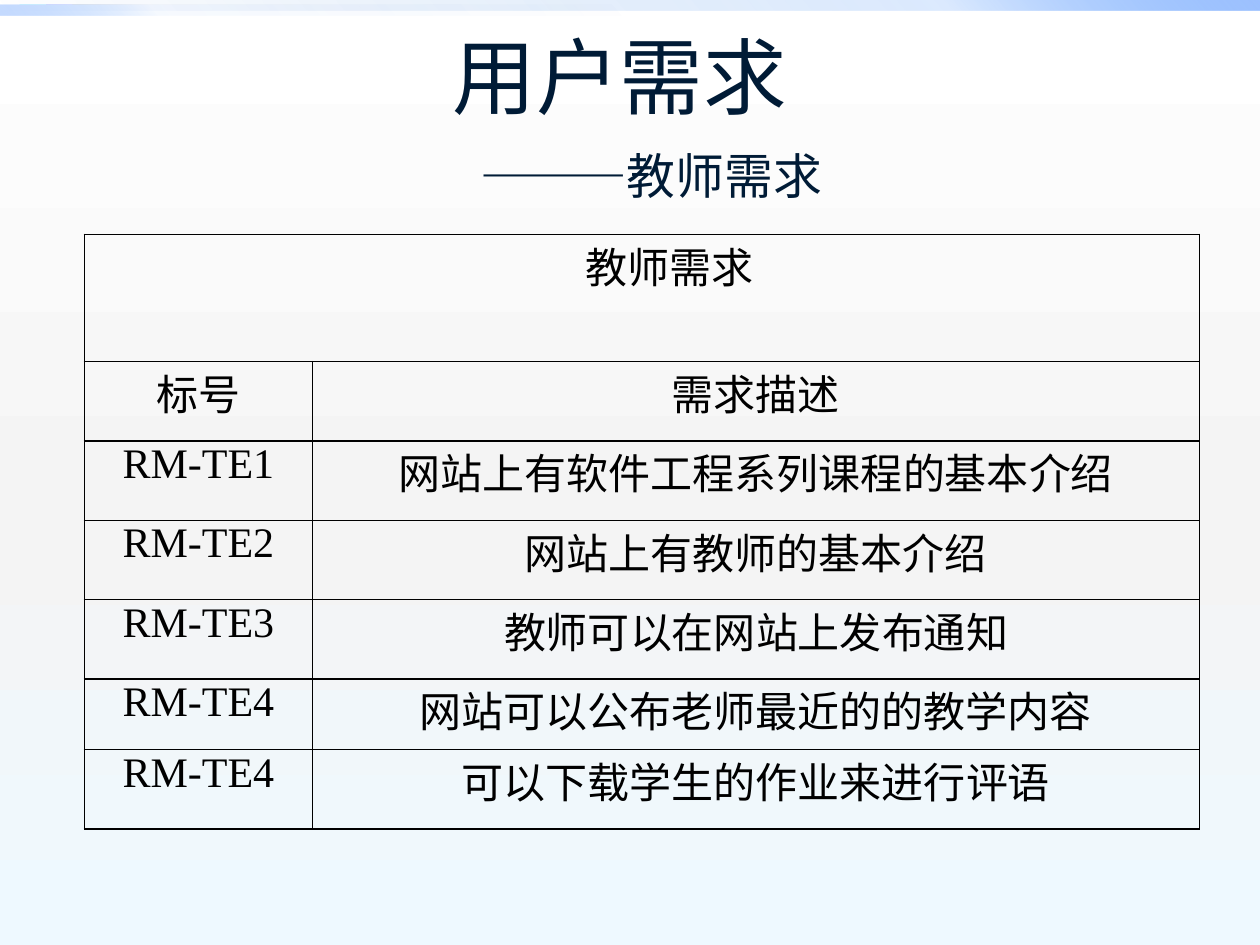
from lxml.etree import SubElement
from pptx import Presentation
from pptx.dml.color import RGBColor
from pptx.enum.shapes import MSO_SHAPE
from pptx.enum.text import MSO_ANCHOR, PP_ALIGN
from pptx.oxml.ns import qn
from pptx.util import Inches, Pt

NAVY = RGBColor(0x00, 0x1B, 0x36)
BLACK = RGBColor(0x00, 0x00, 0x00)

# Gradient stops: position %, colour, opacity %
BACKGROUND = [(0, "FFFFFF", 100), (55, "F4F4F4", 100), (100, "EEF9FF", 100)]
# Bands: left, top, width, height, angle, stops
BANDS = [
    (0, 0, 10, 0.08, 315,
     [(0, "0058B7", 0), (75, "4F95FF", 20), (100, "9EC2FF", 100)]),
    (0, 0.04, 5, 0.08, 135,
     [(0, "0058B7", 0), (75, "4F95FF", 5), (100, "9EC2FF", 60)]),
]

TITLE = ("用户需求", 47.7)
SUBTITLE = [("\t", 39.6), ("———教师需求", 27.9)]

TABLE_TITLE = "教师需求"
ROWS = [
    ("标号", "需求描述"),
    ("RM-TE1", "网站上有软件工程系列课程的基本介绍"),
    ("RM-TE2", "网站上有教师的基本介绍"),
    ("RM-TE3", "教师可以在网站上发布通知"),
    ("RM-TE4", "网站可以公布老师最近的的教学内容"),
    ("RM-TE4", "可以下载学生的作业来进行评语"),
]
COLUMN_WIDTHS = [1.81, 7.04]
ROW_HEIGHTS = [1.01, 0.63, 0.63, 0.63, 0.63, 0.56, 0.63]


def set_gradient(fill, element, angle, stops):
    """Turn the fill inside element into a linear gradient."""
    fill.solid()
    solid = next(element.iter(qn("a:solidFill")))
    gradient = solid.makeelement(qn("a:gradFill"), {"rotWithShape": "1"})
    stop_list = SubElement(gradient, qn("a:gsLst"))
    for position, color, opacity in stops:
        stop = SubElement(stop_list, qn("a:gs"), pos=str(position * 1000))
        rgb = SubElement(stop, qn("a:srgbClr"), val=color)
        if opacity < 100:
            SubElement(rgb, qn("a:alpha"), val=str(opacity * 1000))
    SubElement(gradient, qn("a:lin"), ang=str(angle * 60000), scaled="0")
    solid.getparent().replace(solid, gradient)


def add_run(paragraph, text, size, font_name, color):
    run = paragraph.add_run()
    run.text = text
    run.font.size = Pt(size)
    run.font.name = font_name
    run.font.color.rgb = color


def set_borders(cell):
    properties = cell._tc.get_or_add_tcPr()
    for index, side in enumerate(("lnL", "lnR", "lnT", "lnB")):
        line = properties.makeelement(qn(f"a:{side}"), {"w": str(Pt(1))})
        solid = SubElement(line, qn("a:solidFill"))
        SubElement(solid, qn("a:srgbClr"), val=str(BLACK))
        properties.insert(index, line)


def fill_cell(cell, text):
    cell.margin_left = cell.margin_right = Inches(0.07)
    cell.margin_top = cell.margin_bottom = 0
    cell.vertical_anchor = MSO_ANCHOR.TOP
    paragraph = cell.text_frame.paragraphs[0]
    paragraph.alignment = PP_ALIGN.CENTER
    if text:
        add_run(paragraph, text, 24, "Times New Roman", BLACK)
    return paragraph


presentation = Presentation()
presentation.slide_width = Inches(10)
presentation.slide_height = Inches(7.5)
slide = presentation.slides.add_slide(presentation.slide_layouts[6])

# Background and top bands
set_gradient(slide.background.fill, slide.element, 90, BACKGROUND)
for *box, angle, stops in BANDS:
    band = slide.shapes.add_shape(MSO_SHAPE.RECTANGLE, *map(Inches, box))
    band.shadow.inherit = False
    band.line.fill.background()
    set_gradient(band.fill, band.element.spPr, angle, stops)

# Title with its subtitle line
title = slide.shapes.add_textbox(Inches(0.42), Inches(0.3), Inches(9), Inches(1.25))
title.text_frame.word_wrap = True
title.text_frame.vertical_anchor = MSO_ANCHOR.MIDDLE
paragraph = title.text_frame.paragraphs[0]
paragraph.alignment = PP_ALIGN.CENTER
add_run(paragraph, *TITLE, "Arial", NAVY)
paragraph.add_line_break()
for text, size in SUBTITLE:
    add_run(paragraph, text, size, "Arial", NAVY)

# Requirements table
table = slide.shapes.add_table(
    len(ROW_HEIGHTS), len(COLUMN_WIDTHS), Inches(0.67), Inches(1.86),
    Inches(sum(COLUMN_WIDTHS)), Inches(sum(ROW_HEIGHTS))).table
table.first_row = table.horz_banding = False
for column, width in zip(table.columns, COLUMN_WIDTHS):
    column.width = Inches(width)
for row, height in zip(table.rows, ROW_HEIGHTS):
    row.height = Inches(height)
for cell in table.iter_cells():
    cell.fill.background()
    set_borders(cell)

table.cell(0, 0).merge(table.cell(0, 1))
heading = fill_cell(table.cell(0, 0), TABLE_TITLE)
heading._p.get_or_add_pPr().set("indent", str(Inches(0.44)))
for row_index, row_texts in enumerate(ROWS, start=1):
    for column_index, text in enumerate(row_texts):
        fill_cell(table.cell(row_index, column_index), text)

presentation.save("out.pptx")
